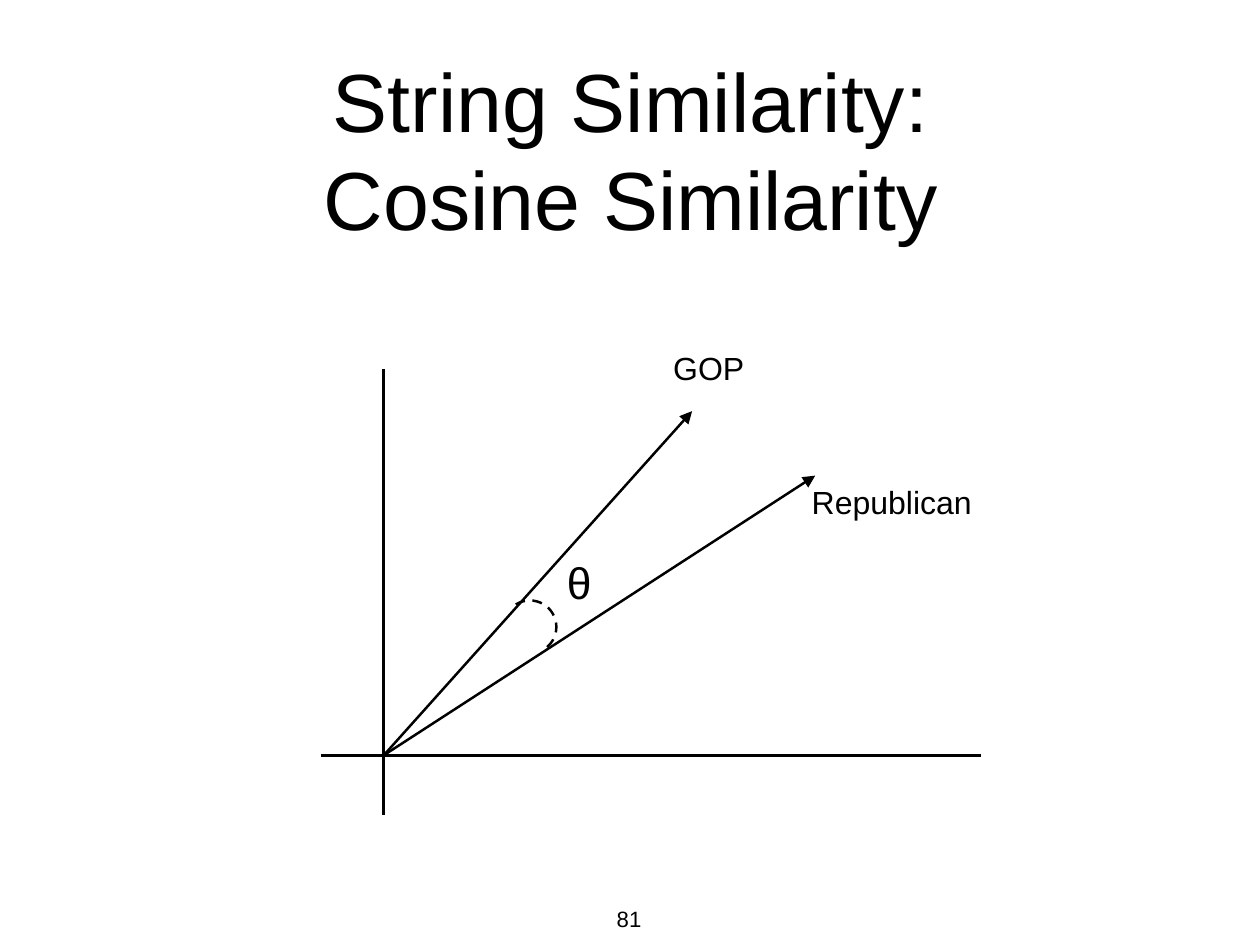
from lxml.etree import SubElement
from pptx import Presentation
from pptx.dml.color import RGBColor
from pptx.enum.dml import MSO_LINE
from pptx.enum.shapes import MSO_CONNECTOR, MSO_SHAPE
from pptx.enum.text import MSO_ANCHOR, PP_ALIGN
from pptx.oxml.ns import qn
from pptx.util import Cm, Pt

# Content; all lengths in cm
TITLE = "String Similarity:\vCosine Similarity"
TITLE_BOX = (6.96, 1.3, 22.23, 5.74)
ORIGIN = (11, 21.66)
X_AXIS = (9.2, 28.12)  # left and right ends
Y_AXIS = (10.59, 23.37)  # top and bottom ends
VECTOR_TIPS = [(19.84, 11.79), (23.37, 13.64)]
ANGLE_ARC = {"center": (15.19, 17.98), "radius": 0.76, "degrees": (238, 64)}
LABELS = [  # text, size name, box
    ("θ", "symbol", (16.25, 15.88, 0.81, 1.6)),
    ("81", "number", (17.68, 25.93, 0.81, 0.71)),
    ("GOP", "label", (19.3, 9.96, 2.06, 1.17)),
    ("Republican", "label", (23.27, 13.82, 4.75, 1.17)),
]

THEME = {
    "ink": RGBColor(0, 0, 0),
    "font": "Arial",
    "line": Pt(2),
    "title": Pt(67),
    "symbol": Pt(36),
    "label": Pt(26),
    "number": Pt(18),
}


def set_attrs(obj, **values):
    for name, value in values.items():
        setattr(obj, name, value)


def style_line(sp):
    sp.line.color.rgb = THEME["ink"]
    sp.line.width = THEME["line"]


def style_text(sp, size, wrap, top=0.03):
    tf = sp.text_frame
    set_attrs(tf, word_wrap=wrap, vertical_anchor=MSO_ANCHOR.TOP,
              margin_left=0, margin_right=0, margin_top=Cm(top), margin_bottom=0)
    p = tf.paragraphs[0]
    for r in p.runs:
        set_attrs(r.font, name=THEME["font"], size=THEME[size])
        r.font.color.rgb = THEME["ink"]
    return p


def add_line(slide, start, end, arrow=False):
    ends = [Cm(v) for v in (*start, *end)]
    sp = slide.shapes.add_connector(MSO_CONNECTOR.STRAIGHT, *ends)
    style_line(sp)
    if arrow:
        SubElement(sp.line._get_or_add_ln(), qn("a:tailEnd"),
                   type="triangle", w="lg", len="lg")
    SubElement(sp._element.spPr, qn("a:effectLst"))


def add_title(slide):
    sp = slide.shapes.title
    set_attrs(sp, **dict(zip(("left", "top", "width", "height"), map(Cm, TITLE_BOX))))
    sp.text_frame.text = TITLE
    p = style_text(sp, "title", True, top=0.15)
    set_attrs(p, alignment=PP_ALIGN.CENTER, line_spacing=Pt(80), space_before=Pt(4.2))


def add_arc(slide, center, radius, degrees):
    x, y = center
    box = [Cm(v) for v in (x - radius, y - radius, 2 * radius, 2 * radius)]
    sp = slide.shapes.add_shape(MSO_SHAPE.ARC, *box)
    sp.shadow.inherit = False
    sp.fill.background()
    style_line(sp)
    sp.line.dash_style = MSO_LINE.DASH
    for i, angle in enumerate(degrees):
        sp.adjustments[i] = angle * 0.6  # 60000 units a degree, scaled by 100000


def add_label(slide, text, size, box):
    sp = slide.shapes.add_textbox(*map(Cm, box))
    sp.text_frame.text = text
    style_text(sp, size, False)


def main():
    prs = Presentation()
    prs.slide_width, prs.slide_height = Cm(36.12), Cm(27.1)
    slide = prs.slides.add_slide(prs.slide_layouts[5])
    add_title(slide)
    x0, y0 = ORIGIN
    add_line(slide, (x0, Y_AXIS[1]), (x0, Y_AXIS[0]))
    add_line(slide, (X_AXIS[0], y0), (X_AXIS[1], y0))
    for tip in VECTOR_TIPS:
        add_line(slide, ORIGIN, tip, arrow=True)
    add_arc(slide, **ANGLE_ARC)
    for label in LABELS:
        add_label(slide, *label)
    prs.save("out.pptx")


if __name__ == "__main__":
    main()
